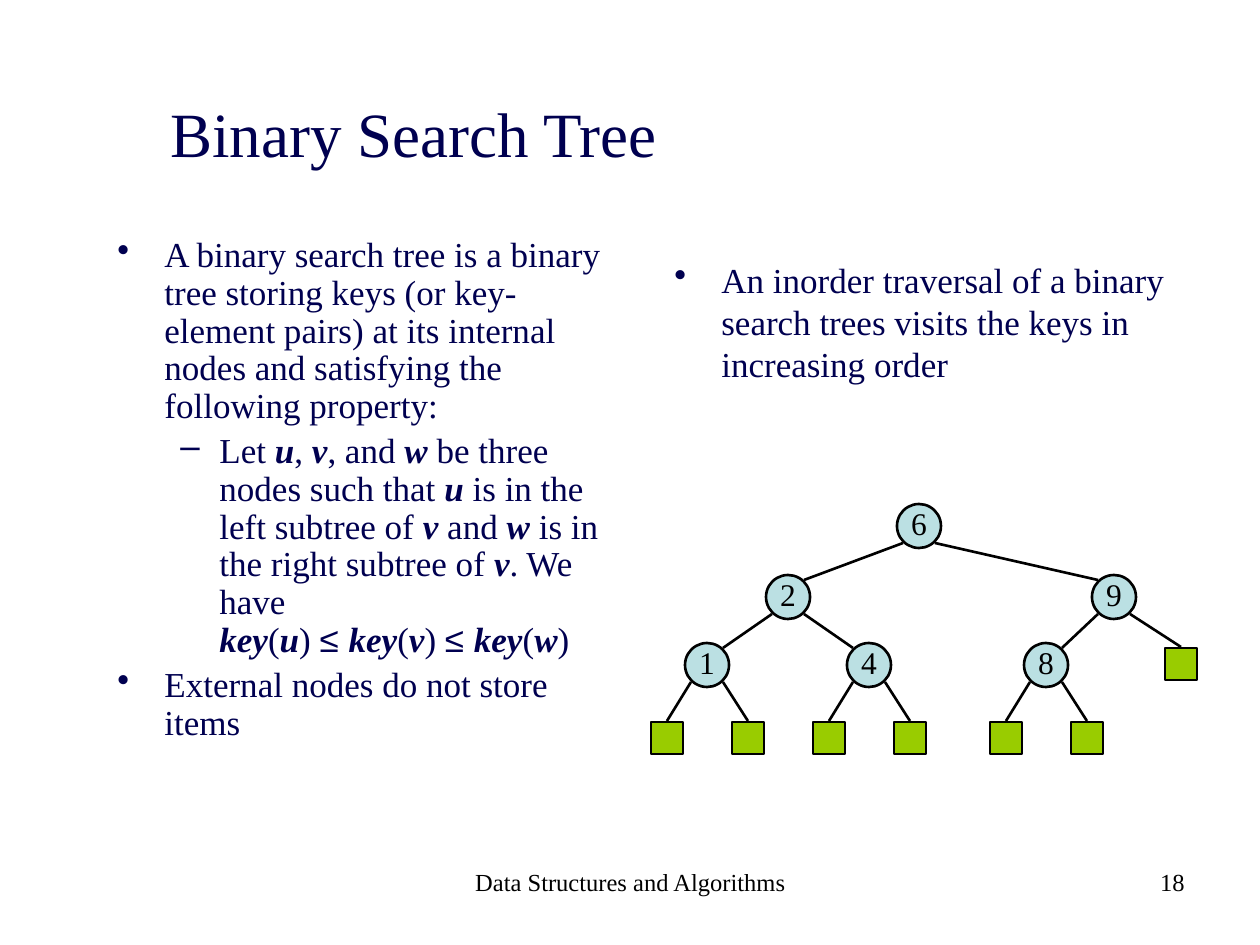
"""Build the slide on binary search trees."""
from dataclasses import dataclass

from lxml import etree
from pptx import Presentation
from pptx import util as u
from pptx.dml.color import RGBColor
from pptx.enum import shapes, text
from pptx.oxml.ns import qn

PX = u.Inches(1) / 126
DIAMETER, SIDE = 44, 32
REACH, DROP = 16, 17

INNER = {6: (919, 526), 2: (788, 597), 9: (1114, 597),
         1: (707, 665), 4: (869, 665), 8: (1046, 665)}
BRANCHES = [(6, 2), (6, 9), (2, 1), (2, 4), (9, 8)]
LEAF_PARENTS = [1, 4, 8]
LEAF_OFFSETS = [-40, 41]
LEAF_Y = 738
LONE_PARENT, LONE_LEAF = 9, (1181, 664)

DEFINITION = [
    (0, "A binary search tree is a binary tree storing keys (or key-element pairs) "
        "at its internal nodes and satisfying the following property:"),
    (1, "Let *u*, *v*, and *w* be three nodes such that *u* is in the left subtree of "
        "*v* and *w* is in the right subtree of *v*. We have **\n"
        "*key*(*u*) **≤ *key*(*v*) **≤ *key*(*w*)"),
    (0, "External nodes do not store items"),
]
TRAVERSAL = [(0, "An inorder traversal of a binary search trees visits the keys "
                 "in increasing order")]


@dataclass(frozen=True)
class Theme:
    """Colours, fonts and type sizes."""
    ink: RGBColor = RGBColor.from_string("000050")
    black: RGBColor = RGBColor.from_string("000000")
    node: RGBColor = RGBColor.from_string("BBE0E3")
    leaf: RGBColor = RGBColor.from_string("99CC00")
    font: str = "Times New Roman"
    symbol_font: str = "Arial"
    title: int = 36
    body: int = 20
    key: int = 18
    footer: int = 14
    stroke: float = 1.5


THEME = Theme()
BULLETS = [("•", 47, -47), ("–", 102, -39)]


def px(*lengths):
    """Turn pixel lengths into EMU."""
    return [u.Emu(round(length * PX)) for length in lengths]


def apply(target, values):
    """Set each named attribute on the target."""
    for name, value in values.items():
        setattr(target, name, value)


def style_font(font, size, color, name=THEME.font, **extra):
    """Give a font its face, size and colour."""
    apply(font, {"name": name, "size": u.Pt(size), **extra})
    font.color.rgb = color


def add_label(page, area, words, size, color, **layout):
    """Add a text box with one line of text."""
    frame = page.shapes.add_textbox(*px(*area)).text_frame
    apply(frame, {"word_wrap": True,
                  "vertical_anchor": layout.get("anchor", text.MSO_ANCHOR.TOP)})
    para = frame.paragraphs[0]
    para.alignment = layout.get("align", text.PP_ALIGN.LEFT)
    span = para.add_run()
    span.text = words
    style_font(span.font, size, color)


def add_bullet(para, level):
    """Give a paragraph the bullet and indent of its level."""
    mark, margin, indent = BULLETS[level]
    para.level = level
    props = para._p.get_or_add_pPr()
    props.set("marL", str(px(margin)[0]))
    props.set("indent", str(px(indent)[0]))
    etree.SubElement(props, qn("a:buChar")).set("char", mark)


def add_spans(para, marked):
    """Add runs, with starred parts in bold italics."""
    for index, piece in enumerate(marked.split("*")):
        if piece == "\n":
            para.add_line_break()
        elif piece:
            span = para.add_run()
            span.text = piece
            strong = index % 2 == 1
            face = THEME.symbol_font if piece.startswith("≤") else THEME.font
            style_font(span.font, THEME.body, THEME.ink, face, bold=strong, italic=strong)


def add_list(page, area, items, line_spacing):
    """Add a bulleted text box."""
    frame = page.shapes.add_textbox(*px(*area)).text_frame
    frame.word_wrap = True
    for index, (level, marked) in enumerate(items):
        para = frame.add_paragraph() if index else frame.paragraphs[0]
        add_bullet(para, level)
        apply(para, {"line_spacing": line_spacing,
                     "space_before": u.Pt(THEME.body * 0.2 if index else 0)})
        add_spans(para, marked)


def add_mark(page, kind, center, size, fill):
    """Add an outlined shape around a centre point."""
    x, y = center
    mark = page.shapes.add_shape(kind, *px(x - size / 2, y - size / 2, size, size))
    mark.shadow.inherit = False
    mark.fill.solid()
    mark.fill.fore_color.rgb = fill
    mark.line.color.rgb = THEME.black
    mark.line.width = u.Pt(THEME.stroke)
    return mark


def add_node(page, key, center):
    """Add an internal node with its key."""
    frame = add_mark(page, shapes.MSO_SHAPE.OVAL, center, DIAMETER, THEME.node).text_frame
    apply(frame, {"margin_left": 0, "margin_right": 0, "margin_top": 0,
                  "margin_bottom": px(6)[0], "word_wrap": False,
                  "vertical_anchor": text.MSO_ANCHOR.MIDDLE})
    para = frame.paragraphs[0]
    para.alignment = text.PP_ALIGN.CENTER
    span = para.add_run()
    span.text = str(key)
    style_font(span.font, THEME.key, THEME.black)


def add_edge(page, parent, end):
    """Draw a line from the lower side of a parent node to an end point."""
    x, y = parent
    side = REACH if end[0] > x else -REACH
    edge = page.shapes.add_connector(
        shapes.MSO_CONNECTOR.STRAIGHT, *px(x + side, y + DROP, *end))
    edge.line.color.rgb = THEME.black
    edge.line.width = u.Pt(THEME.stroke)
    etree.SubElement(edge._element.spPr, qn("a:effectLst"))


def add_leaf(page, parent, center):
    """Add an external node and the line to its parent."""
    x, y = center
    add_edge(page, parent, (x, y - DROP))
    add_mark(page, shapes.MSO_SHAPE.RECTANGLE, center, SIDE, THEME.leaf)


def add_tree(page):
    """Draw the search tree."""
    for parent, child in BRANCHES:
        x, y = INNER[child]
        toward = REACH if INNER[parent][0] > x else -REACH
        add_edge(page, INNER[parent], (x + toward, y - DROP))
    for key in LEAF_PARENTS:
        for offset in LEAF_OFFSETS:
            add_leaf(page, INNER[key], (INNER[key][0] + offset, LEAF_Y))
    add_leaf(page, INNER[LONE_PARENT], LONE_LEAF)
    for key, center in INNER.items():
        add_node(page, key, center)


def main():
    """Build and save the deck."""
    deck = Presentation()
    deck.slide_width, deck.slide_height = px(1260, 945)
    page = deck.slides.add_slide(deck.slide_layouts[6])
    add_label(page, (431, 861, 399, 66), "Data Structures and Algorithms",
              THEME.footer, THEME.black, align=text.PP_ALIGN.CENTER)
    add_label(page, (903, 861, 294, 66), "18",
              THEME.footer, THEME.black, align=text.PP_ALIGN.RIGHT)
    add_label(page, (158, 53, 577, 158), "Binary Search Tree",
              THEME.title, THEME.ink, anchor=text.MSO_ANCHOR.MIDDLE)
    add_list(page, (105, 231, 525, 630), DEFINITION, 0.9)
    add_list(page, (662, 252, 525, 221), TRAVERSAL, 1.0)
    add_tree(page)
    deck.save("out.pptx")


if __name__ == "__main__":
    main()
